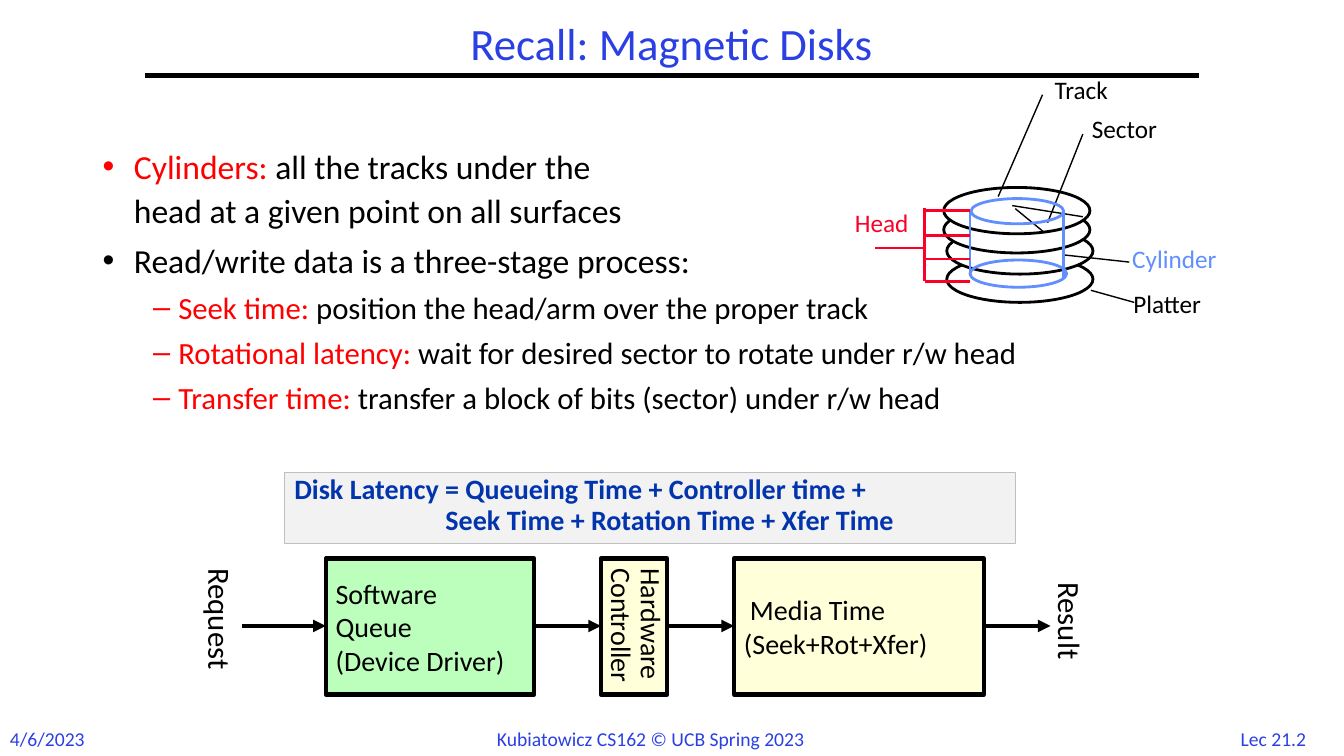
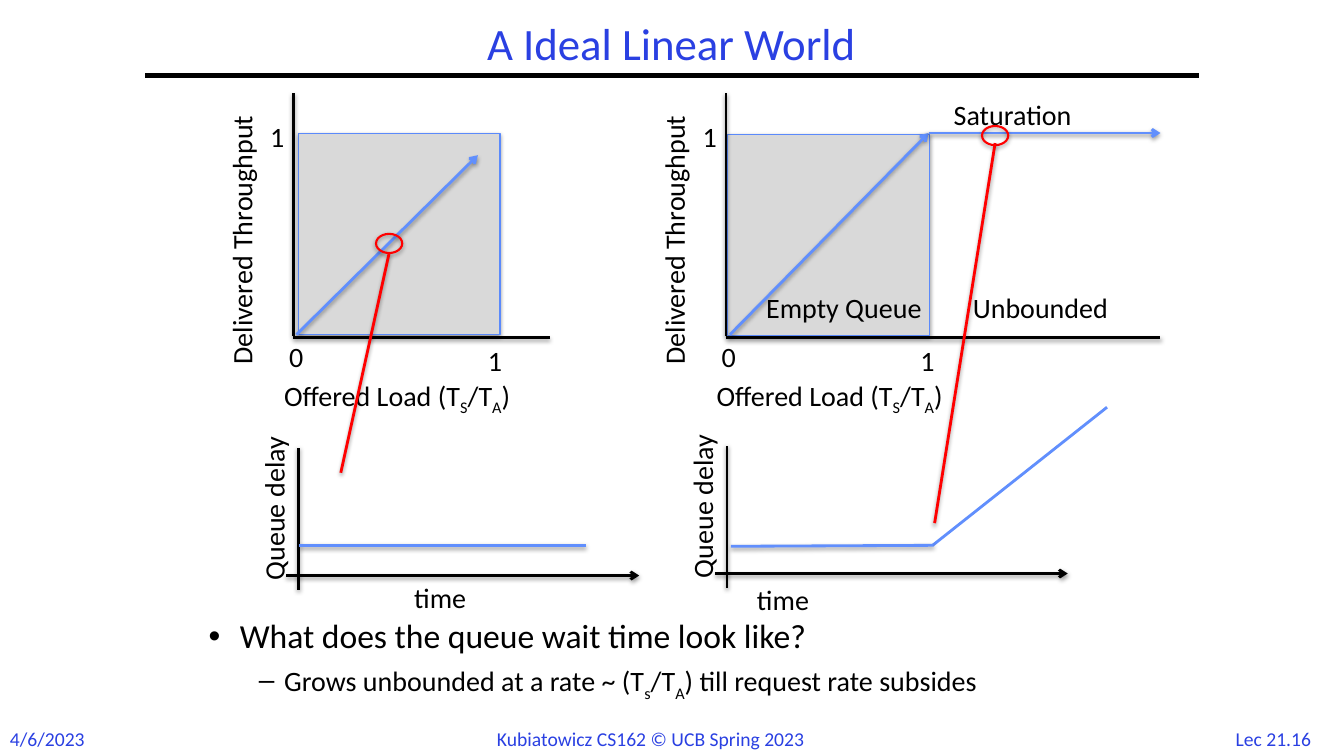
from typing import NamedTuple, Optional

from lxml import etree
from pptx import Presentation
from pptx.dml.color import RGBColor
from pptx.enum.shapes import MSO_CONNECTOR, MSO_SHAPE
from pptx.enum.text import MSO_ANCHOR, PP_ALIGN
from pptx.oxml.ns import qn
from pptx.util import Emu, Pt

PX = 9144  # one px is a hundredth of an inch
FONT = "Calibri"
COLORS = {
    "title": "2A40E2", "black": "000000", "white": "FFFFFF", "red": "FF0000",
    "head": "FC0128", "blue": "618FFD", "square_edge": "5B8AFB",
    "square": "D9D9D9", "green": "BCFFBC", "cream": "FFFFDA",
    "formula": "0234AD", "panel": "F2F2F2", "panel_edge": "BFBFBF",
}
RECT, OVAL, STRAIGHT = MSO_SHAPE.RECTANGLE, MSO_SHAPE.OVAL, MSO_CONNECTOR.STRAIGHT
LEFT, CENTER = PP_ALIGN.LEFT, PP_ALIGN.CENTER
TOP, MIDDLE = MSO_ANCHOR.TOP, MSO_ANCHOR.MIDDLE
BULLETS = {0: ("•", 31, -31), 1: ("–", 75, -25)}  # mark, margin, indent


class Para(NamedTuple):
    """Spans are strings or (string, format) pairs."""
    spans: list
    level: Optional[int] = None
    size: Optional[int] = None
    margin: int = 0


SUB = {"baseline": -25}
RED = {"color": "red"}
LOAD = Para(["Offered Load (T", ("S", SUB), "/T", ("A", SUB), ")"])


def px(value):
    return Emu(value * PX)


def rgb(name):
    return RGBColor.from_string(COLORS[name])


# Text
def indent(para, item):
    props = para._p.get_or_add_pPr()
    mark, margin, first = BULLETS.get(item.level, (None, item.margin, 0))
    props.set("marL", str(px(margin)))
    props.set("indent", str(px(first)))
    if mark:
        etree.SubElement(props, qn("a:buFont")).set("typeface", "Arial")
        etree.SubElement(props, qn("a:buChar")).set("char", mark)


def add_span(para, words, size, color, bold=False, baseline=0):
    for number, line in enumerate(words.split("\n")):
        if number:
            para.add_line_break()
        span = para.add_run()
        span.text = line
        font = span.font
        font.name, font.size, font.bold = FONT, Pt(size), bold
        font.color.rgb = rgb(color)
        if baseline:
            span._r.get_or_add_rPr().set("baseline", str(baseline * 1000))


def write(shape, paras, size=20, color="black", bold=False, align=LEFT, anchor=TOP,
          spacing=1.0, before=0.0, insets=(10, 5), vertical=None):
    """Fill a shape with text; before is a share of the text size."""
    frame = shape.text_frame
    frame.word_wrap = True
    frame.vertical_anchor = anchor
    frame.margin_left = frame.margin_right = px(insets[0])
    frame.margin_top = frame.margin_bottom = px(insets[1])
    if vertical:
        shape.element.find(".//" + qn("a:bodyPr")).set("vert", vertical)
    for number, item in enumerate([paras] if isinstance(paras, str) else paras):
        if isinstance(item, str):
            item = Para([item])
        para = frame.add_paragraph() if number else frame.paragraphs[0]
        indent(para, item)
        para.alignment, para.line_spacing = align, spacing
        points = item.size or size
        if number and before:
            para.space_before = Pt(round(points * before, 1))
        for entry in item.spans:
            words, extra = (entry, {}) if isinstance(entry, str) else entry
            add_span(para, words, **{"size": points, "color": color, "bold": bold, **extra})


def label(page, at, paras, rotation=0, **form):
    box = page.shapes.add_textbox(*map(px, at))
    box.rotation = rotation
    write(box, paras, **form)


# Shapes and lines
def cast_shadow(effects):
    shadow = etree.SubElement(effects, qn("a:outerShdw"), blurRad=str(Pt(3.1)),
                              dist=str(Pt(1.6)), dir="5400000", rotWithShape="0")
    tone = etree.SubElement(shadow, qn("a:srgbClr"), val=COLORS["black"])
    etree.SubElement(tone, qn("a:alpha"), val="38000")


def figure(page, kind, at, fill=None, edge="black", width=2, shadow=False):
    shape = page.shapes.add_shape(kind, *map(px, at))
    shape.shadow.inherit = False
    if fill:
        shape.fill.solid()
        shape.fill.fore_color.rgb = rgb(fill)
    else:
        shape.fill.background()
    shape.line.color.rgb = rgb(edge)
    shape.line.width = Pt(width)
    if shadow:
        cast_shadow(shape.element.spPr.find(qn("a:effectLst")))
    return shape


def line(page, start, end, color="black", width=2, arrow=None, shadow=False):
    link = page.shapes.add_connector(STRAIGHT, *map(px, (*start, *end)))
    link.line.color.rgb = rgb(color)
    link.line.width = Pt(width)
    if arrow:
        etree.SubElement(link.line._get_or_add_ln(), qn("a:tailEnd"), type=arrow)
    effects = etree.SubElement(link.element.spPr, qn("a:effectLst"))
    if shadow:
        cast_shadow(effects)


# Parts shared by the slides
def new_page(deck, title, number):
    page = deck.slides.add_slide(deck.slide_layouts[6])
    line(page, (144, 75), (1189, 75), width=3)
    label(page, (144, 17, 1044, 58), title, size=32, color="title",
          align=CENTER, anchor=MIDDLE, spacing=0.9)
    footers = [
        ((0, 716, 110, 34), "4/6/2023", LEFT),
        ((483, 716, 368, 34), "Kubiatowicz CS162 © UCB Spring 2023", LEFT),
        ((1209, 716, 108, 34), f"Lec 21.{number}", CENTER),
    ]
    for at, words, align in footers:
        label(page, at, words, size=14, color="title", align=align)
    return page


# Slide 1
def disk_drawing(page):
    for left, top in [(939, 254), (939, 226), (936, 205), (936, 186)]:
        figure(page, OVAL, (left, top, 145, 46), fill="white")
    # Sector edges and pointers
    for start, end in [((1007, 207), (1035, 230)), ((1004, 204), (1074, 215)),
                       ((1039, 221), (1074, 133)), ((990, 195), (1034, 94)),
                       ((1056, 253), (1120, 260)), ((1082, 288), (1125, 300))]:
        line(page, start, end, width=1)
    # Cylinder
    for at in [(962, 258, 96, 27), (963, 197, 92, 25)]:
        figure(page, OVAL, at, edge="blue")
    for x, bottom in [(962, 271), (1055, 276)]:
        line(page, (x, 209), (x, bottom), "blue")
    # Head with its arms
    line(page, (917, 206), (917, 279), "head")
    for y in (209, 234, 257, 279):
        line(page, (917, y), (962, y), "head")
    line(page, (918, 246), (868, 246), "head")
    for left, top, words, color in [
            (1076, 114, "Sector", "black"), (1039, 75, "Track", "black"),
            (1116, 243, "Cylinder", "blue"), (841, 207, "Head", "head"),
            (1117, 288, "Platter", "black")]:
        label(page, (left, top, 107, 31), words, size=18, color=color,
              spacing=0.85, insets=(7, 3))


def request_flow(page):
    top, height, middle = 554, 135, 621
    stages = [
        (323, 207, "green", ["Software", "Queue", "(Device Driver)"], {}),
        (596, 66, "cream", ["Hardware", "Controller"],
         {"spacing": 0.8, "before": 0.1, "vertical": "eaVert"}),
        (728, 248, "cream", [Para(["Media Time"], margin=6), "(Seek+Rot+Xfer)"], {}),
    ]
    start = 240
    for left, width, fill, words, form in stages:
        box = figure(page, RECT, (left, top, width, height), fill, width=3)
        write(box, words, anchor=MIDDLE, **form)
        line(page, (start, middle), (left, middle), width=3, arrow="triangle")
        start = left + width
    line(page, (start, middle), (1042, middle), width=3, arrow="triangle")
    for left, width, words in [(151, 135, "Request"), (1008, 107, "Result")]:
        label(page, (left, 598, width, 47), words, rotation=90, size=22)


def disks_page(deck):
    page = new_page(deck, "Recall: Magnetic Disks", 2)
    steps = [("Seek time: ", "position the head/arm over the proper track"),
             ("Rotational latency: ", "wait for desired sector to rotate under r/w head"),
             ("Transfer time: ", "transfer a block of bits (sector) under r/w head")]
    label(page, (92, 136, 1150, 328), [
        Para([("Cylinders: ", RED),
              "all the tracks under the\nhead at a given point on all surfaces"], 0),
        Para(["Read/write data is a three-stage process:"], 0),
        *(Para([(term, RED), meaning], 1, 22) for term, meaning in steps),
    ], size=24, spacing=1.1, before=0.15)
    disk_drawing(page)
    request_flow(page)
    panel = figure(page, RECT, (282, 469, 725, 70), "panel", "panel_edge", 0.75)
    write(panel, ["Disk Latency = Queueing Time + Controller time +",
                  Para(["Seek Time + Rotation Time + Xfer Time"], margin=150)],
          color="formula", bold=True, spacing=0.8, before=0.15)


# Slide 2
def throughput_plot(page, x, axis_end, square, arrows):
    """Plot whose vertical axis stands at x."""
    figure(page, RECT, (*square, 200, 200), "square", "square_edge", 0.75, shadow=True)
    line(page, (x, 333), (x, 92), shadow=True)
    line(page, (x, 335), (axis_end, 335), shadow=True)
    label(page, (x - 196, 205, 289, 44), "Delivered Throughput", rotation=270)
    for dx, top, words in [(-14, 332, "0"), (183, 336, "1"), (-33, 114, "1")]:
        label(page, (x + dx, top, 36, 44), words)
    label(page, (x - 19, 371, 282, 44), [LOAD])
    for start, end in arrows:
        line(page, start, end, "blue", arrow="arrow", shadow=True)


def delay_plot(page, x, y, time_at):
    """Axes that cross at x, y."""
    line(page, (x - 12, y), (x + 338, y), arrow="arrow", shadow=True)
    line(page, (x, y + 14), (x, y - 127), shadow=True)
    label(page, (*time_at, 73, 44), "time")
    label(page, (x - 114, y - 97, 179, 44), "Queue delay", rotation=270)


def marker(page, left, top, start, end):
    figure(page, OVAL, (left, top, 26, 19), edge="red", width=1.5, shadow=True)
    line(page, start, end, "red", shadow=True)


def linear_page(deck):
    page = new_page(deck, "A Ideal Linear World", 16)
    label(page, (197, 610, 954, 100), [
        Para(["What does the queue wait time look like?"], 0, 24),
        Para(["Grows unbounded at a rate ~ (T", ("s", SUB), "/T", ("A", SUB),
              ") till request rate subsides"], 1),
    ], spacing=0.9, before=0.3)
    # Below saturation
    throughput_plot(page, 291, 545, (296, 132), [((294, 332), (474, 154))])
    delay_plot(page, 296, 571, (401, 571))
    line(page, (297, 541), (581, 541), "blue", shadow=True)
    marker(page, 373, 232, (386, 251), (338, 469))
    # Into saturation
    throughput_plot(page, 720, 1151, (722, 133),
                    [((724, 332), (921, 132)), ((921, 132), (1151, 132))])
    for left, top, width, words in [(750, 283, 191, "Empty Queue"),
                                    (936, 92, 148, "Saturation"),
                                    (955, 283, 165, "Unbounded")]:
        label(page, (left, top, width, 44), words)
    delay_plot(page, 721, 569, (741, 573))
    line(page, (925, 541), (1098, 404), "blue")
    marker(page, 974, 125, (987, 142), (927, 519))
    line(page, (725, 542), (926, 541), "blue", shadow=True)


def main():
    deck = Presentation()
    deck.slide_width, deck.slide_height = px(1333), px(750)
    disks_page(deck)
    linear_page(deck)
    deck.save("out.pptx")


if __name__ == "__main__":
    main()
